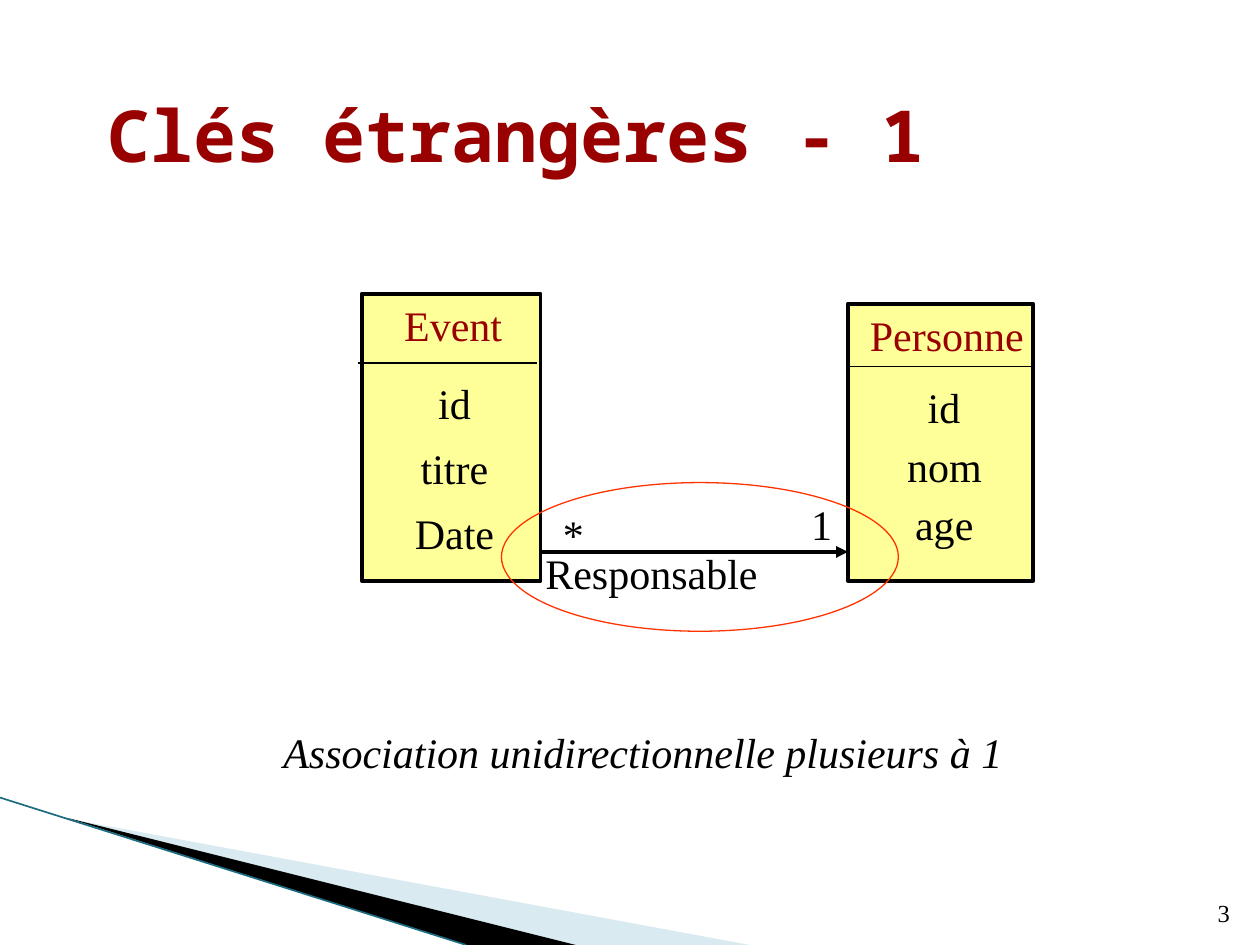
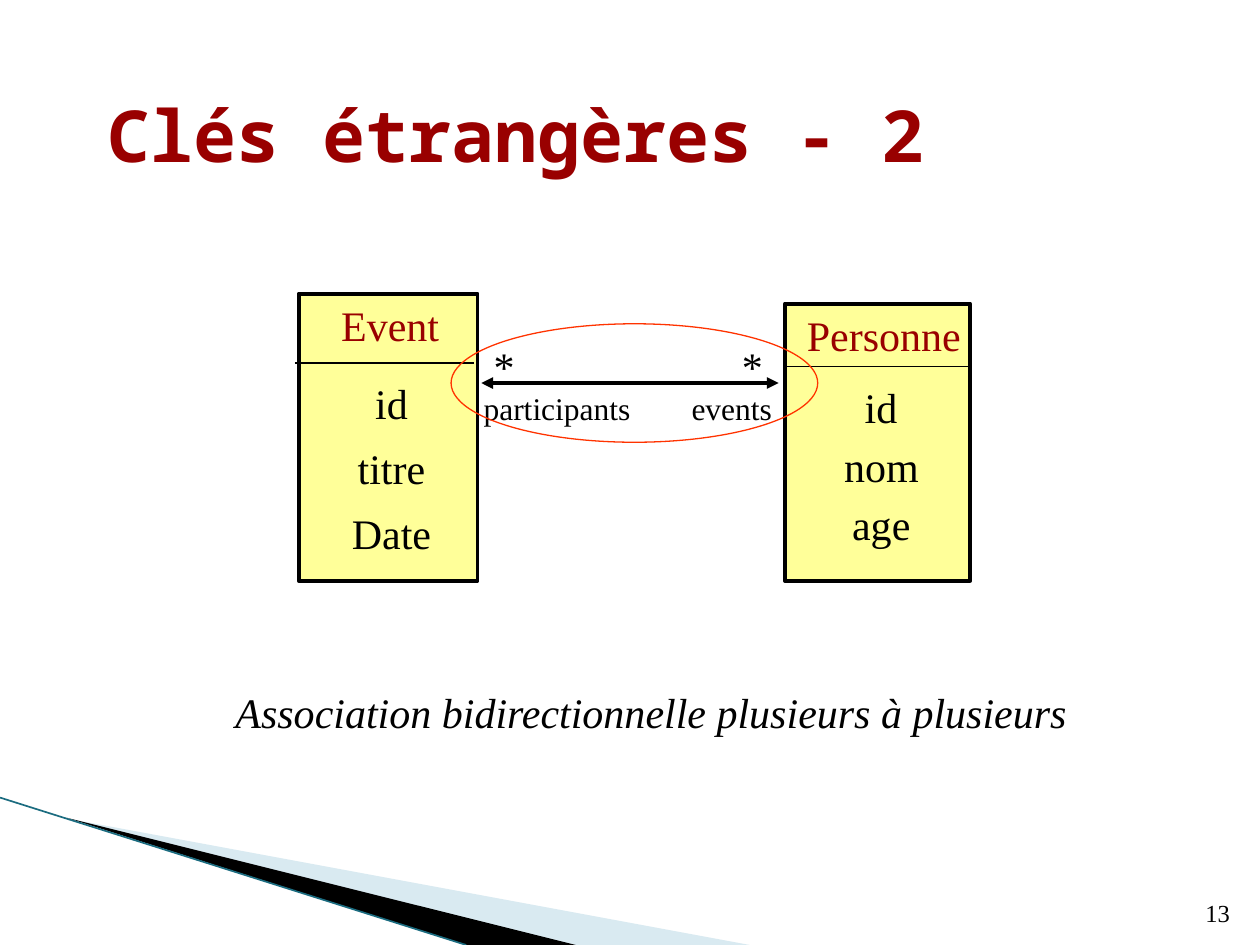
from lxml.etree import SubElement
from pptx import Presentation
from pptx.dml.color import RGBColor
from pptx.enum.shapes import MSO_CONNECTOR, MSO_SHAPE
from pptx.enum.text import MSO_ANCHOR, MSO_AUTO_SIZE, PP_ALIGN
from pptx.oxml.ns import qn
from pptx.util import Inches, Pt

COLORS = {
    "text": "000000",
    "heading": "990000",
    "entity": "FFFF99",
    "highlight": "FF3300",
    "pale_band": "A0CBDC",
    "dark_band": "000000",
    "band_edge": "1B6C80",
}
TITLE_FONT = "Noto Sans Mono"
BODY_FONT = "Times New Roman"
TITLE_ONLY = 5
TEXT_HEIGHT = 0.5


def color(name):
    return RGBColor.from_string(COLORS[name])


def write_text(frame, text, size=24, font=BODY_FONT, ink="text", bold=False,
               italic=False, align=PP_ALIGN.LEFT, anchor=MSO_ANCHOR.TOP):
    frame.vertical_anchor = anchor
    paragraph = frame.paragraphs[0]
    paragraph.alignment = align
    run = paragraph.add_run()
    run.text = text
    run.font.size = Pt(size)
    run.font.name = font
    run.font.bold = bold
    run.font.italic = italic
    run.font.color.rgb = color(ink)


def add_label(shapes, text, left, top, width, height=TEXT_HEIGHT, **text_format):
    box = shapes.add_textbox(Inches(left), Inches(top), Inches(width), Inches(height))
    box.text_frame.word_wrap = False
    box.text_frame.auto_size = MSO_AUTO_SIZE.SHAPE_TO_FIT_TEXT
    write_text(box.text_frame, text, **text_format)


def add_line(shapes, start, end, weight=0.75, ink="text", arrows=()):
    line = shapes.add_connector(MSO_CONNECTOR.STRAIGHT, *map(Inches, start + end))
    line.line.color.rgb = color(ink)
    line.line.width = Pt(weight)
    for arrow in arrows:
        SubElement(line.line._get_or_add_ln(), qn(f"a:{arrow}"), type="triangle")
    SubElement(line._element.spPr, qn("a:effectLst"))


def add_outlined_shape(shapes, kind, left, top, width, height, ink, weight, fill=None):
    shape = shapes.add_shape(kind, Inches(left), Inches(top), Inches(width), Inches(height))
    shape.shadow.inherit = False
    shape.line.color.rgb = color(ink)
    shape.line.width = Pt(weight)
    if fill:
        shape.fill.solid()
        shape.fill.fore_color.rgb = color(fill)
    else:
        shape.fill.background()


def add_band(shapes, points, fill, opacity=100):
    start, *others = [tuple(map(Inches, point)) for point in points]
    builder = shapes.build_freeform(*start)
    builder.add_line_segments(others)
    band = builder.convert_to_shape()
    band.shadow.inherit = False
    band.line.fill.background()
    band.fill.solid()
    band.fill.fore_color.rgb = color(fill)
    if opacity < 100:
        tint = band._element.spPr.find(f"{qn('a:solidFill')}/{qn('a:srgbClr')}")
        SubElement(tint, qn("a:alpha"), val=str(opacity * 1000))


def add_corner_bands(shapes, top, bottom):
    add_band(shapes, [(0.55, top + 0.17), (5.95, bottom), (4.56, bottom)], "pale_band", 40)
    add_band(shapes, [(0.53, top + 0.16), (4.57, bottom), (3.7, bottom)], "dark_band")
    add_line(shapes, (0, top), (3.7, bottom), 0.95, "band_edge")


def add_base_slide(presentation, title_text, number):
    slide = presentation.slides.add_slide(presentation.slide_layouts[TITLE_ONLY])
    add_corner_bands(slide.shapes, 6.33, 7.5)
    title = slide.shapes.title
    title.left, title.top = Inches(0.75), Inches(0.44)
    title.width, title.height = Inches(8.5), Inches(1.25)
    title.text_frame.auto_size = MSO_AUTO_SIZE.NONE
    write_text(title.text_frame, title_text, size=41, font=TITLE_FONT, ink="heading",
               bold=True, anchor=MSO_ANCHOR.MIDDLE)
    page_box = slide.shapes.add_textbox(Inches(9.46), Inches(7.01), Inches(0.4), Inches(0.4))
    page_box.text_frame.word_wrap = True
    write_text(page_box.text_frame, number, size=14, align=PP_ALIGN.RIGHT,
               anchor=MSO_ANCHOR.BOTTOM)
    return slide


def add_entity(slide, left, top, width, height, name, fields, header_height,
               field_pitch, rule_shift=0, name_shift=0.02):
    shapes = slide.shapes.add_group_shape().shapes
    center = left + width / 2
    rule_top = top + header_height
    rule_left = left + rule_shift
    add_outlined_shape(shapes, MSO_SHAPE.RECTANGLE, left, top, width, height,
                       "text", 2.25, "entity")
    name_text, name_width = name
    add_label(shapes, name_text, center - name_width / 2 + name_shift, top, name_width,
              ink="heading")
    add_line(shapes, (rule_left, rule_top), (rule_left + width, rule_top))
    for index, (field, field_width) in enumerate(fields):
        add_label(shapes, field, center - field_width / 2 + 0.03,
                  rule_top + 0.07 + index * field_pitch, field_width)


def add_entities(slide, left):
    add_entity(slide, left + 3.86, 2.41, 1.47, 2.2, ("Personne", 1.42),
               [("id", 0.46), ("nom", 0.79), ("age", 0.66)], 0.5, 0.465, name_shift=0.05)
    add_entity(slide, left, 2.33, 1.42, 2.28, ("Event", 0.98),
               [("id", 0.46), ("titre", 0.74), ("Date", 0.83)], 0.55, 0.515, rule_shift=-0.03)


def add_association(slide, start, end, arrows, labels, highlight):
    shapes = slide.shapes.add_group_shape().shapes
    add_line(shapes, start, end, 2.25, arrows=arrows)
    for text, left, top, width, size in labels:
        add_label(shapes, text, left, top, width, TEXT_HEIGHT if size == 24 else 0.4, size=size)
    add_outlined_shape(slide.shapes, MSO_SHAPE.OVAL, *highlight, "highlight", 0.75)


def add_one_way_slide(presentation):
    slide = add_base_slide(presentation, "Clés étrangères - 1", "3")
    add_label(slide.shapes, "Association unidirectionnelle plusieurs à 1",
              2.15, 5.72, 5.92, italic=True)
    add_entities(slide, 2.87)
    add_association(
        slide, (4.29, 4.38), (6.73, 4.38), ["tailEnd"],
        [("Responsable", 4.23, 4.3, 1.89, 24),
         ("*", 4.37, 3.99, 0.37, 24),
         ("1", 6.34, 3.91, 0.37, 24)],
        (3.98, 3.83, 3.15, 1.18))


def add_two_way_slide(presentation):
    slide = add_base_slide(presentation, "Clés étrangères - 2", "13")
    add_entities(slide, 2.37)
    add_label(slide.shapes, "Association bidirectionnelle plusieurs à plusieurs",
              1.77, 5.4, 6.81, italic=True)
    add_association(
        slide, (3.82, 3.04), (6.18, 3.04), ["headEnd", "tailEnd"],
        [("*", 3.82, 2.65, 0.37, 24),
         ("*", 5.79, 2.65, 0.37, 24),
         ("participants", 3.74, 3.04, 1.37, 18),
         ("events", 5.39, 3.04, 0.84, 18)],
        (3.58, 2.57, 2.91, 0.94))


presentation = Presentation()
presentation.slide_width = Inches(10)
presentation.slide_height = Inches(7.5)
add_one_way_slide(presentation)
add_two_way_slide(presentation)
presentation.save("out.pptx")
